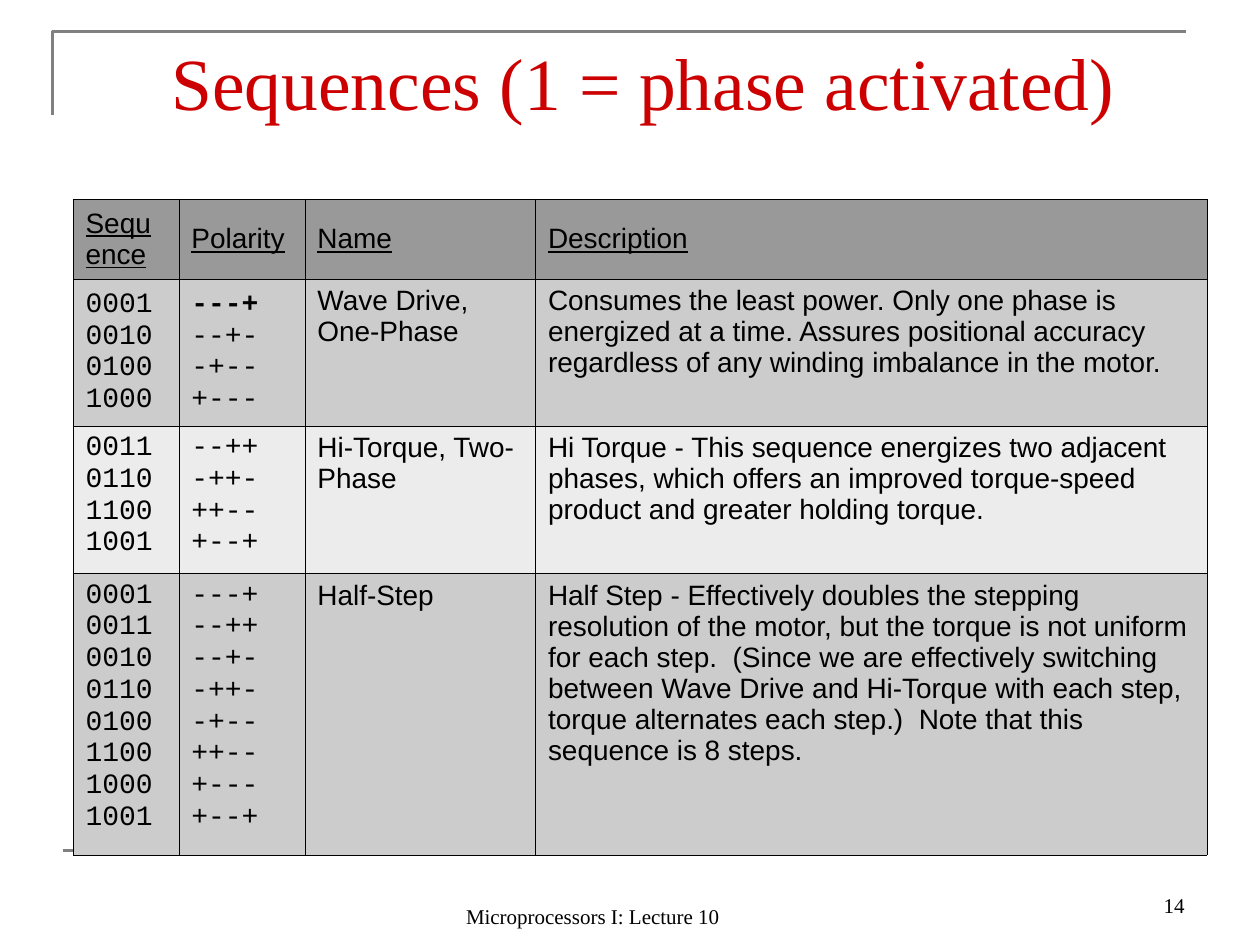
from dataclasses import dataclass

from lxml.etree import SubElement
from pptx import Presentation
from pptx.dml.color import RGBColor
from pptx.enum.shapes import MSO_CONNECTOR
from pptx.enum.text import MSO_ANCHOR, MSO_AUTO_SIZE, PP_ALIGN
from pptx.oxml import parse_xml
from pptx.oxml.ns import nsdecls, qn
from pptx.util import Inches, Pt


@dataclass(frozen=True)
class Theme:
    title: str = "CC0000"
    text: str = "000000"
    rule: str = "808080"
    header: str = "999999"
    dark_row: str = "CCCCCC"
    light_row: str = "ECECEC"
    title_size: int = 42
    table_size: int = 16
    break_size: int = 18
    footer_size: int = 12
    serif: str = "Times New Roman"
    sans: str = "Arial"
    mono: str = "Courier New"


theme = Theme()


def format_runs(para, font, size, color):
    for span in para.runs:
        span.font.name = font
        span.font.size = Pt(size)
        span.font.color.rgb = RGBColor.from_string(color)


def add_cell_borders(cell):
    properties = cell._tc.get_or_add_tcPr()
    for position, side in enumerate(("lnL", "lnR", "lnT", "lnB")):
        properties.insert(position, parse_xml(
            f'<a:{side} {nsdecls("a")} w="{Pt(0.34)}"><a:solidFill>'
            f'<a:srgbClr val="{theme.text}"/></a:solidFill></a:{side}>'))


deck = Presentation()
deck.slide_width, deck.slide_height = Inches(10), Inches(7.5)
page = deck.slides.add_slide(deck.slide_layouts[5])

# Frame lines
builder = page.shapes.build_freeform(Inches(0.415), Inches(0.915))
builder.add_line_segments(
    [(Inches(0.415), Inches(0.25)), (Inches(9.415), Inches(0.25))], close=False)
corner = builder.convert_to_shape()
corner.fill.background()
corner.shadow.inherit = False
bottom_rule = page.shapes.add_connector(
    MSO_CONNECTOR.STRAIGHT, Inches(0.5), Inches(6.75), Inches(9.5), Inches(6.75))
for frame_line in (corner, bottom_rule):
    frame_line.line.color.rgb = RGBColor.from_string(theme.rule)
    frame_line.line.width = Pt(1.5)
SubElement(bottom_rule._element.spPr, qn("a:effectLst"))

# Footer and page number
for text, left, top, width, alignment in (
    ("Microprocessors I: Lecture 10", 2.58, 6.92, 4.25, PP_ALIGN.CENTER),
    ("14", 7.17, 6.83, 2.33, PP_ALIGN.RIGHT),
):
    box = page.shapes.add_textbox(Inches(left), Inches(top), Inches(width), Inches(0.5))
    box.text_frame.word_wrap = True
    box.text_frame.vertical_anchor = MSO_ANCHOR.BOTTOM
    box.text_frame.text = text
    para = box.text_frame.paragraphs[0]
    para.alignment = alignment
    format_runs(para, theme.serif, theme.footer_size, theme.text)

# Title
title = page.shapes.title
title.left, title.top = Inches(1.26), Inches(0.23)
title.width, title.height = Inches(8.52), Inches(1.1)
frame = title.text_frame
frame.text = "Sequences (1 = phase activated)"
frame.auto_size = MSO_AUTO_SIZE.NONE
frame.vertical_anchor = MSO_ANCHOR.TOP
frame.margin_top = Inches(0.06)
frame.paragraphs[0].alignment = PP_ALIGN.LEFT
format_runs(frame.paragraphs[0], theme.serif, theme.title_size, theme.title)

# Table of drive modes: polarity shows each sequence bit as + or -
headings = ("Sequence", "Polarity", "Name", "Description")
modes = (
    ("0001 0010 0100 1000", "Wave Drive, One-Phase",
     "Consumes the least power. Only one phase is energized at a time. Assures "
     "positional accuracy regardless of any winding imbalance in the motor."),
    ("0011 0110 1100 1001", "Hi-Torque, Two-Phase",
     "Hi Torque - This sequence energizes two adjacent phases, which offers an "
     "improved torque-speed product and greater holding torque."),
    ("0001 0011 0010 0110 0100 1100 1000 1001", "Half-Step",
     "Half Step - Effectively doubles the stepping resolution of the motor, but the "
     "torque is not uniform for each step.  (Since we are effectively switching "
     "between Wave Drive and Hi-Torque with each step, torque alternates each "
     "step.)  Note that this sequence is 8 steps."),
)
rows = [headings]
for steps, name, description in modes:
    sequence = steps.replace(" ", "\n")
    polarity = sequence.replace("0", "-").replace("1", "+")
    rows.append((sequence, polarity, name, description))

table = page.shapes.add_table(
    len(rows), len(headings), Inches(0.58), Inches(1.58), Inches(9), Inches(5.2)).table
for column, width in zip(table.columns, (0.84, 1, 1.83, 5.33)):
    column.width = Inches(width)
for row, height in zip(table.rows, (0.63, 1.17, 1.17, 2.23)):
    row.height = Inches(height)

row_fills = (theme.header, theme.dark_row, theme.light_row, theme.dark_row)
for row_index, (texts, fill) in enumerate(zip(rows, row_fills)):
    is_header = row_index == 0
    for column_index, text in enumerate(texts):
        is_code = not is_header and column_index < 2
        cell = table.cell(row_index, column_index)
        cell.fill.solid()
        cell.fill.fore_color.rgb = RGBColor.from_string(fill)
        add_cell_borders(cell)
        centred = is_header or (row_index == 1 and is_code)
        cell.vertical_anchor = MSO_ANCHOR.MIDDLE if centred else MSO_ANCHOR.TOP
        para = cell.text_frame.paragraphs[0]
        para.text = text
        format_runs(para, theme.mono if is_code else theme.sans,
                    theme.table_size, theme.text)
        for span in para.runs:
            span.font.bold = False
            span.font.underline = is_header
        # Larger line breaks open up the steps
        for line_break in para._p.findall(qn("a:br")):
            properties = SubElement(line_break, qn("a:rPr"), sz=str(theme.break_size * 100))
            SubElement(properties, qn("a:latin"), typeface=theme.mono)
table.cell(1, 1).text_frame.paragraphs[0].runs[0].font.bold = True

deck.save("out.pptx")
